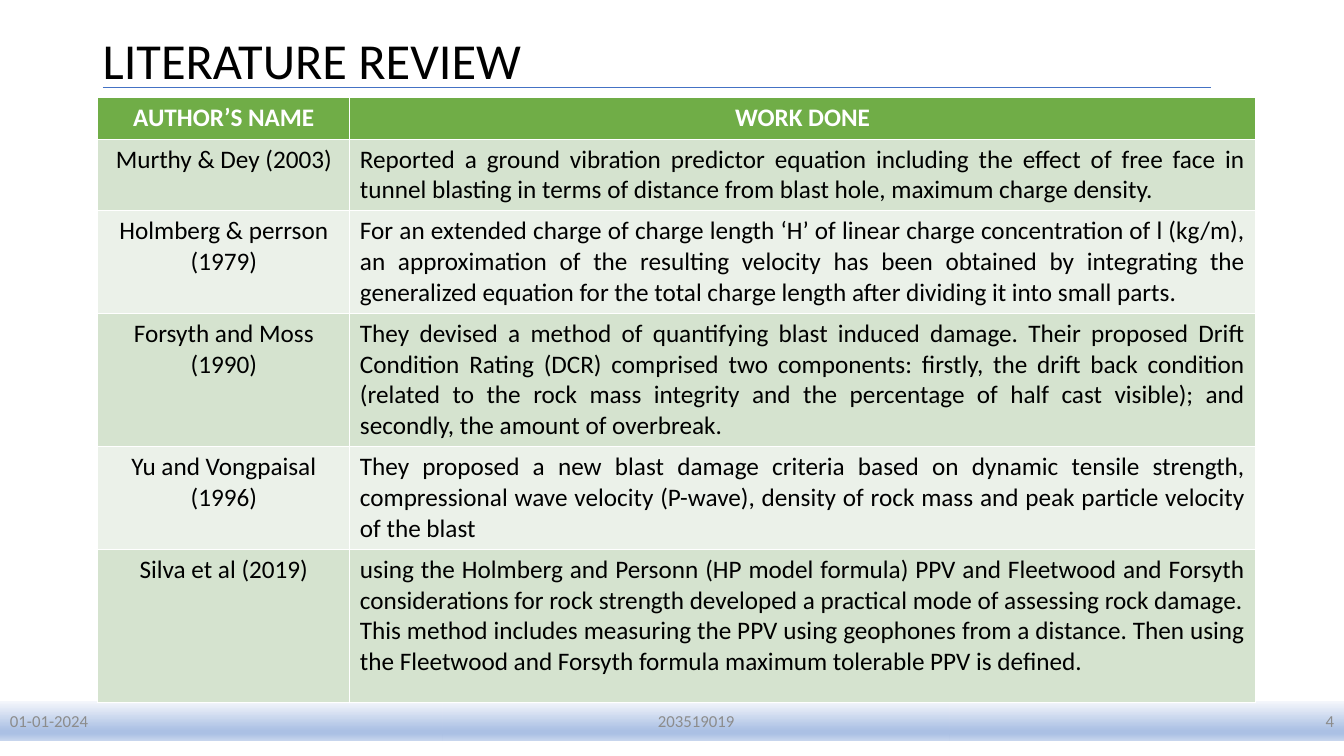
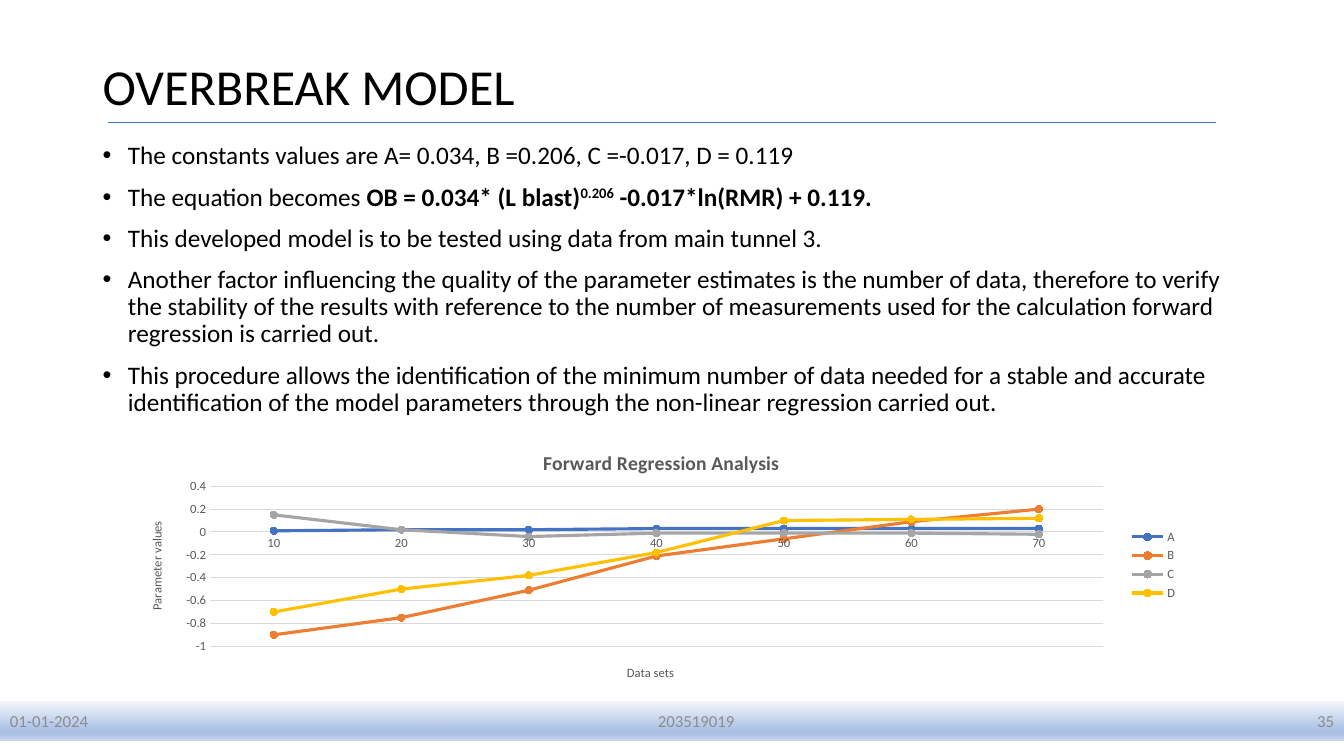
from lxml.etree import SubElement
from pptx import Presentation
from pptx.chart.data import CategoryChartData
from pptx.dml.color import RGBColor
from pptx.enum.chart import XL_CHART_TYPE, XL_LEGEND_POSITION, XL_MARKER_STYLE, XL_TICK_MARK
from pptx.enum.shapes import MSO_CONNECTOR, MSO_SHAPE
from pptx.enum.text import MSO_ANCHOR, PP_ALIGN
from pptx.oxml.ns import qn
from pptx.util import Inches, Pt

COLORS = {
    "text": "000000",
    "white": "FFFFFF",
    "rule": "4472C4",
    "footer": "8C8C8C",
    "header": "70AD47",
    "band_dark": "D5E3CF",
    "band_light": "EBF1E9",
    "chart_text": "595959",
    "grid": "D9D9D9",
    "A": "4472C4",
    "B": "ED7D31",
    "C": "A5A5A5",
    "D": "FFC000",
}
FOOTER_STOPS = [(0, "F6F8FC"), (74, "ABC0E4"), (83, "ABC0E4"), (100, "C7D5ED")]
FOOTER_EDGES = [0, 4.39, 9.42, 13.33]
FOOTER_ALIGNS = [PP_ALIGN.LEFT, PP_ALIGN.CENTER, PP_ALIGN.RIGHT]

REVIEW_HEADER = ("AUTHOR’S NAME", "WORK DONE")
REVIEWS = [
    ("Murthy & Dey (2003)",
     "Reported a ground vibration predictor equation including the effect of free face in "
     "tunnel blasting in terms of distance from blast hole, maximum charge density."),
    ("Holmberg & perrson (1979)",
     "For an extended charge of charge length ‘H’ of linear charge concentration of l (kg/m), "
     "an approximation of the resulting velocity has been obtained by integrating the "
     "generalized equation for the total charge length after dividing it into small parts."),
    ("Forsyth and Moss (1990)",
     "They devised a method of quantifying blast induced damage. Their proposed Drift "
     "Condition Rating (DCR) comprised two components: firstly, the drift back condition "
     "(related to the rock mass integrity and the percentage of half cast visible); and "
     "secondly, the amount of overbreak."),
    ("Yu and Vongpaisal (1996)",
     "They proposed a new blast damage criteria based on dynamic tensile strength, "
     "compressional wave velocity (P-wave), density of rock mass and peak particle velocity "
     "of the blast"),
    ("Silva et al (2019)",
     "using the Holmberg and Personn (HP model formula) PPV and Fleetwood and Forsyth "
     "considerations for rock strength developed a practical mode of assessing rock damage.\n"
     "This method includes measuring the PPV using geophones from a distance. Then using "
     "the Fleetwood and Forsyth formula maximum tolerable PPV is defined."),
]

# Each bullet is a list of (text, style) runs.
MODEL_POINTS = [
    [("The constants values are A= 0.034, B =0.206, C =-0.017, D = 0.119", "")],
    [("The equation becomes ", ""), ("OB = 0.034* (L blast)", "bold"),
     ("0.206", "bold superscript"), (" -0.017*ln(RMR) + 0.119.", "bold")],
    [("This developed model is to be tested using data from main tunnel 3.", "")],
    [("Another factor influencing the quality of the parameter estimates is the number of data, "
      "therefore to verify the stability of the results with reference to the number of "
      "measurements used for the calculation forward regression is carried out.", "")],
    [("This procedure allows the identification of the minimum number of data needed for a "
      "stable and accurate identification of the model parameters through the non-linear "
      "regression carried out.", "")],
]

DATA_SETS = ["10", "20", "30", "40", "50", "60", "70"]
PARAMETERS = {
    "A": [0.01, 0.02, 0.02, 0.03, 0.03, 0.03, 0.03],
    "B": [-0.9, -0.75, -0.51, -0.21, -0.06, 0.09, 0.2],
    "C": [0.15, 0.02, -0.04, -0.01, -0.01, -0.01, -0.02],
    "D": [-0.7, -0.5, -0.38, -0.18, 0.1, 0.11, 0.12],
}


def rgb(name):
    return RGBColor.from_string(COLORS[name])


def place(element, **fractions):
    """Fix a chart part at fractions (x, y, w, h) of the chart area."""
    layout = element.find(qn("c:layout"))
    if layout is not None:
        element.remove(layout)
    layout = element.makeelement(qn("c:layout"), {})
    manual = SubElement(layout, qn("c:manualLayout"))
    if "w" in fractions:
        SubElement(manual, qn("c:layoutTarget"), val="inner")
    for axis in ("x", "y"):
        SubElement(manual, qn(f"c:{axis}Mode"), val="edge")
    for key, fraction in fractions.items():
        SubElement(manual, qn(f"c:{key}"), val=str(fraction))
    element.insert(1 if element.tag == qn("c:title") else 0, layout)


class Deck:
    font_name = "Calibri"

    def __init__(self):
        self.prs = Presentation()
        self.prs.slide_width = Inches(13.33)
        self.prs.slide_height = Inches(7.5)
        self.slide = None

    def style(self, font, size, color="text", bold=False):
        font.name = self.font_name
        font.size = Pt(size)
        font.bold = bold
        font.color.rgb = rgb(color)

    def new_slide(self, title, title_top, title_height, rule_left, rule_top, number):
        self.slide = self.prs.slides.add_slide(self.prs.slide_layouts[6])
        self.title(title, title_top, title_height)
        self.rule(rule_left, rule_top)
        self.footer("01-01-2024", "203519019", str(number))

    def text_frame(self, left, top, width, height):
        box = self.slide.shapes.add_textbox(
            Inches(left), Inches(top), Inches(width), Inches(height))
        box.text_frame.word_wrap = True
        return box.text_frame

    def title(self, text, top, height):
        frame = self.text_frame(0.92, top, 11.5, height)
        frame.vertical_anchor = MSO_ANCHOR.MIDDLE
        heading = frame.paragraphs[0]
        heading.text = text
        heading.line_spacing = 0.9
        self.style(heading.font, 36)

    def rule(self, left, top, length=10.99):
        line = self.slide.shapes.add_connector(
            MSO_CONNECTOR.STRAIGHT, Inches(left), Inches(top), Inches(left + length), Inches(top))
        line.line.color.rgb = rgb("rule")
        line.line.width = Pt(0.5)
        SubElement(line._element.spPr, qn("a:effectLst"))

    def footer(self, *texts):
        spans = zip(FOOTER_EDGES, FOOTER_EDGES[1:])
        for text, align, (left, right) in zip(texts, FOOTER_ALIGNS, spans):
            band = self.slide.shapes.add_shape(
                MSO_SHAPE.RECTANGLE, Inches(left), Inches(6.95), Inches(right - left), Inches(0.4))
            band.shadow.inherit = False
            band.line.fill.background()
            self.footer_gradient(band)
            band.text_frame.vertical_anchor = MSO_ANCHOR.MIDDLE
            label = band.text_frame.paragraphs[0]
            label.text = text
            label.alignment = align
            self.style(label.font, 12, "footer")

    def footer_gradient(self, band):
        band.fill.gradient()
        band.fill.gradient_angle = 270
        stops = band._element.spPr.find(qn("a:gradFill")).find(qn("a:gsLst"))
        for stop in list(stops):
            stops.remove(stop)
        for percent, color in FOOTER_STOPS:
            stop = SubElement(stops, qn("a:gs"), pos=str(percent * 1000))
            SubElement(stop, qn("a:srgbClr"), val=color)

    def table(self, left, top, widths, heights, rows):
        table = self.slide.shapes.add_table(
            len(rows), len(widths), Inches(left), Inches(top),
            Inches(sum(widths)), Inches(sum(heights))).table
        table.horz_banding = False
        for column, width in zip(table.columns, widths):
            column.width = Inches(width)
        for r, (row, height) in enumerate(zip(rows, heights)):
            table.rows[r].height = Inches(height)
            is_header = r == 0
            fill = "header" if is_header else ("band_light", "band_dark")[r % 2]
            for c, text in enumerate(row):
                cell = table.cell(r, c)
                cell.fill.solid()
                cell.fill.fore_color.rgb = rgb(fill)
                cell.text = text
                centered = is_header or c == 0
                for paragraph in cell.text_frame.paragraphs:
                    paragraph.alignment = PP_ALIGN.CENTER if centered else PP_ALIGN.JUSTIFY
                    self.style(paragraph.font, 18, "white" if is_header else "text", is_header)

    def bullets(self, left, top, width, height, points):
        frame = self.text_frame(left, top, width, height)
        for i, runs in enumerate(points):
            point = frame.add_paragraph() if i else frame.paragraphs[0]
            properties = point._p.get_or_add_pPr()
            properties.set("marL", str(Inches(0.25)))
            properties.set("indent", str(-Inches(0.25)))
            SubElement(properties, qn("a:buFont"), typeface="Arial")
            SubElement(properties, qn("a:buChar"), char="•")
            point.line_spacing = 0.9
            if i:
                point.space_before = Pt(10)
            self.style(point.font, 18)
            for text, look in runs:
                run = point.add_run()
                run.text = text
                if "bold" in look:
                    run.font.bold = True
                if "superscript" in look:
                    run.font._element.set("baseline", "30000")

    def chart_title(self, owner, text, size, bold, x, y):
        """Title a chart or an axis, with its corner at fractions x and y."""
        title = owner.chart_title if hasattr(owner, "chart_title") else owner.axis_title
        heading = title.text_frame.paragraphs[0]
        heading.text = text
        self.style(heading.font, size, "chart_text", bold)
        place(title._element, x=x, y=y)

    def line_chart(self, left, top, width, height, categories, series_values):
        data = CategoryChartData()
        data.categories = categories
        for name, values in series_values.items():
            data.add_series(name, values)
        chart = self.slide.shapes.add_chart(
            XL_CHART_TYPE.LINE_MARKERS, Inches(left), Inches(top),
            Inches(width), Inches(height), data).chart
        self.style(chart.font, 9, "chart_text")
        chart.has_legend = True
        chart.legend.position = XL_LEGEND_POSITION.RIGHT
        chart.legend.include_in_layout = False
        self.style(chart.legend.font, 9, "chart_text")

        plot = chart.plots[0]
        plot.vary_by_categories = False
        for series in plot.series:
            color = rgb(series.name)
            series.smooth = False
            series.format.line.color.rgb = color
            series.format.line.width = Pt(2.25)
            series.marker.style = XL_MARKER_STYLE.CIRCLE
            series.marker.size = 5
            series.marker.format.fill.solid()
            series.marker.format.fill.fore_color.rgb = color
            series.marker.format.line.color.rgb = color

        value_axis, category_axis = chart.value_axis, chart.category_axis
        for axis in (value_axis, category_axis):
            axis.major_tick_mark = axis.minor_tick_mark = XL_TICK_MARK.NONE
            self.style(axis.tick_labels.font, 9, "chart_text")
        value_axis.minimum_scale, value_axis.maximum_scale = -1, 0.4
        value_axis.major_unit = 0.2
        value_axis.format.line.fill.background()
        for line in (value_axis.major_gridlines.format.line, category_axis.format.line):
            line.color.rgb = rgb("grid")
            line.width = Pt(0.75)

        self.chart_title(chart, "Forward Regression Analysis", 14, True, 0.39, 0.06)
        self.chart_title(category_axis, "Data sets", 9, False, 0.47, 0.86)
        self.chart_title(value_axis, "Parameter values", 9, False, 0.02, 0.33)
        plot_area = chart._chartSpace.chart.plotArea
        place(plot_area, x=0.08, y=0.21, w=0.84, h=0.59)


def main():
    deck = Deck()

    deck.new_slide("LITERATURE REVIEW", 0.29, 0.68, 1.02, 0.87, 4)
    deck.table(0.97, 0.97, [2.5, 8.98], [0.41, 0.71, 1.02, 1.32, 1.02, 1.52],
               [REVIEW_HEADER, *REVIEWS])

    deck.new_slide("OVERBREAK MODEL", 0.4, 0.97, 1.07, 1.21, 35)
    deck.bullets(0.92, 1.37, 11.5, 2.89, MODEL_POINTS)
    deck.line_chart(1.24, 4.26, 10.54, 2.69, DATA_SETS, PARAMETERS)

    deck.prs.save("out.pptx")


if __name__ == "__main__":
    main()
